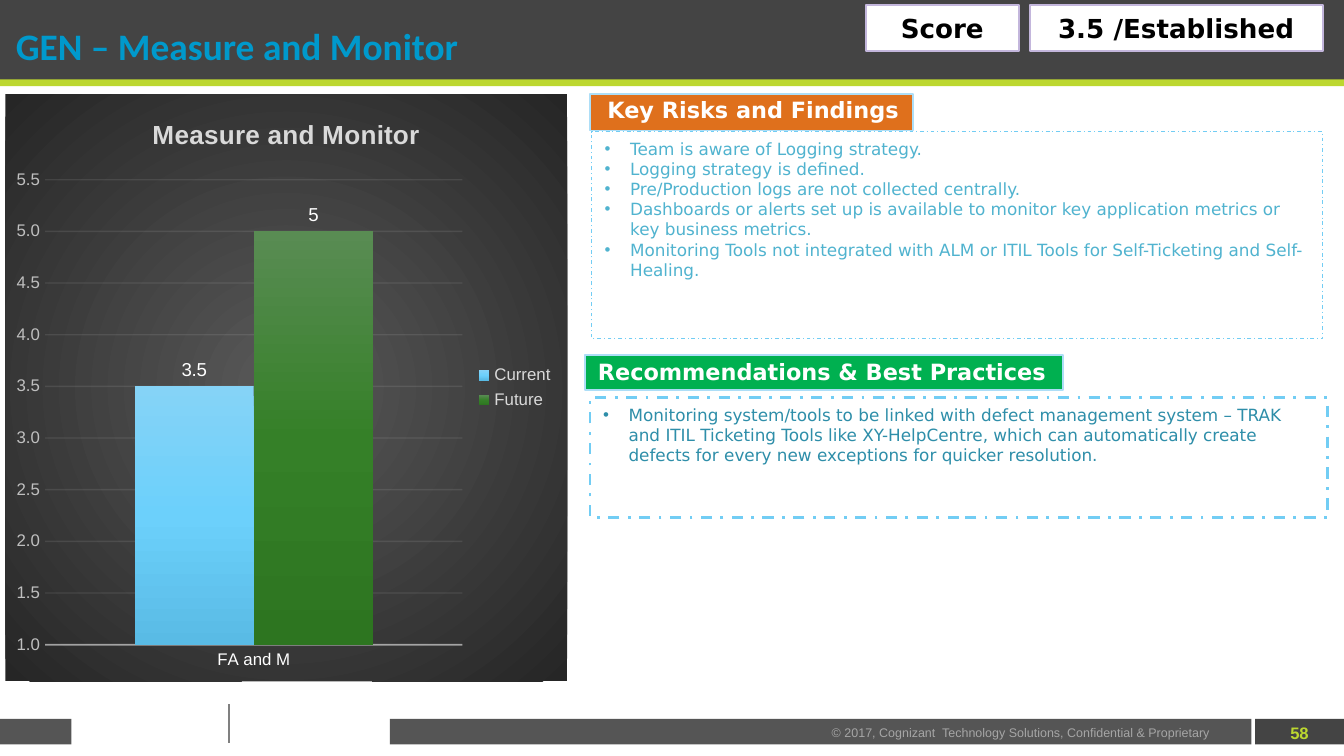
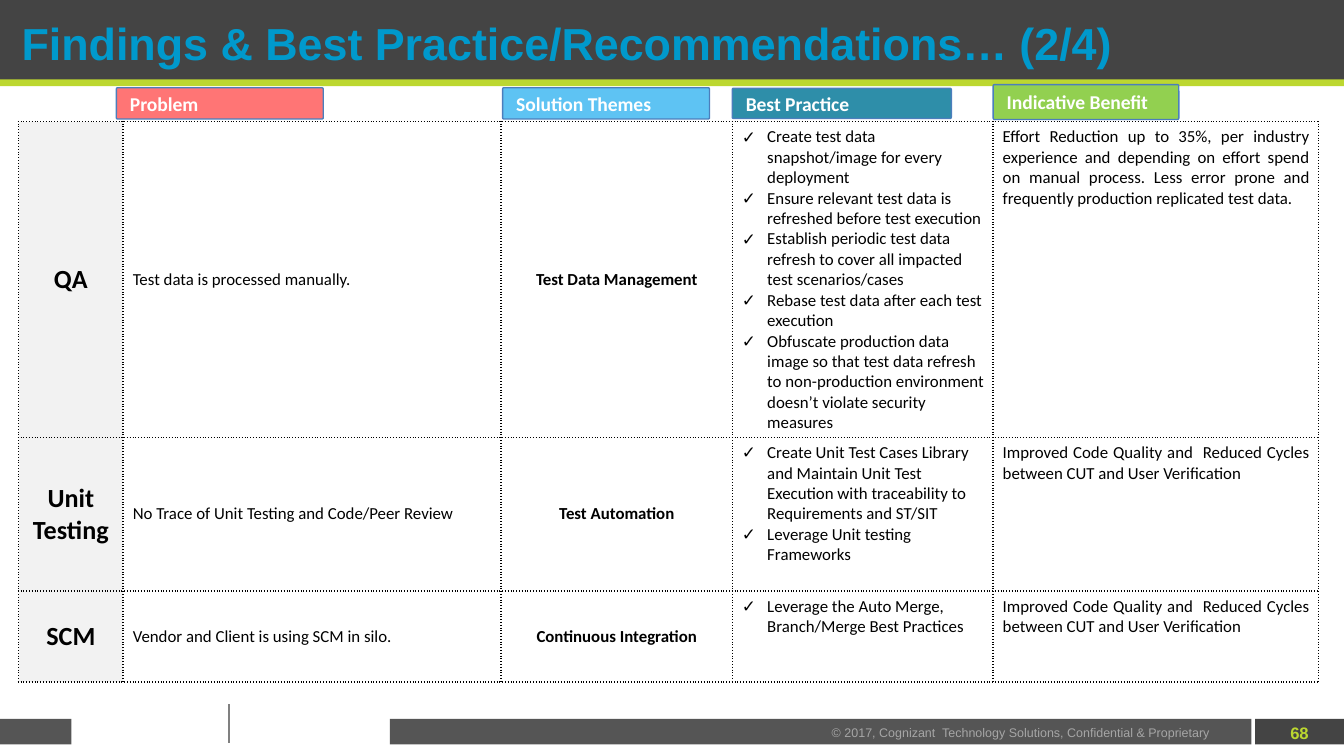
from lxml.etree import SubElement as Sub, fromstring
from pptx import Presentation
from pptx.chart.data import CategoryChartData as Data
from pptx.dml.color import RGBColor as RGB
from pptx.enum.chart import XL_CHART_TYPE as Kind, XL_LABEL_POSITION as Spot
from pptx.enum.chart import XL_LEGEND_POSITION as Side, XL_TICK_MARK as Tick
from pptx.enum.dml import MSO_LINE as Dash
from pptx.enum.shapes import MSO_CONNECTOR as Link, MSO_SHAPE as Form
from pptx.enum.text import MSO_ANCHOR as Anchor, PP_ALIGN as Align
from pptx.oxml.ns import nsdecls, qn
from pptx.util import Cm, Pt

WHITE, BLACK = RGB(255, 255, 255), RGB(0, 0, 0)
DARK, GREY, MID = RGB(0x44, 0x44, 0x44), RGB(0x55, 0x55, 0x55), RGB(0x80, 0x80, 0x80)
SILVER, ASH, PALE = RGB(0xA6, 0xA6, 0xA6), RGB(0xBF, 0xBF, 0xBF), RGB(0xD9, 0xD9, 0xD9)
MIST = RGB(0xF2, 0xF2, 0xF2)
LIME, BLUE = RGB(0xBC, 0xD7, 0x30), RGB(0, 0x99, 0xCC)
SKY, ICE, LILAC = RGB(0x72, 0xCD, 0xF4), RGB(0xAD, 0xDE, 0xF7), RGB(0xC3, 0xB6, 0xDC)
AQUA, TEAL, EDGE = RGB(0x50, 0xB3, 0xCF), RGB(0x2E, 0x8E, 0xA9), RGB(0x4B, 0x7E, 0xBC)
ORANGE, GREEN = RGB(0xDF, 0x70, 0x1C), RGB(0, 0xB0, 0x50)
CORAL, AZURE, LEAF = RGB(0xFF, 0x75, 0x75), RGB(0x5E, 0xC3, 0xF3), RGB(0x92, 0xD0, 0x50)

SANS, BODY, WIDE = "Arial", "Calibri", "DejaVu Sans"
MARKS = "© 2017, Cognizant  Technology Solutions, Confidential & Proprietary"


def font(name, size, color, bold=False):
    return {"name": name, "size": Pt(size), "color": color, "bold": bold}


HEAD = font(WIDE, 12, WHITE, True)
SCORE = font(WIDE, 14, BLACK, True)
TAB = font(BODY, 10.5, WHITE, True)
CELL = font(BODY, 9, BLACK)
THEME = font(BODY, 9, BLACK, True)
AREA = font(BODY, 14, BLACK, True)


def dress(target, style):
    for key, val in style.items():
        if key == "color":
            target.color.rgb = val
        else:
            setattr(target, key, val)


def blend(stops, shape):
    """Build a gradient fill from (percent, hex) stops."""
    marks = "".join(f'<a:gs pos="{pos * 1000}"><a:srgbClr val="{tint}"/></a:gs>'
                    for pos, tint in stops)
    return fromstring(f'<a:gradFill {nsdecls("a")} rotWithShape="1">'
                      f'<a:gsLst>{marks}</a:gsLst>{shape}</a:gradFill>')


def fade(line, color, width, alpha):
    line.color.rgb, line.width = color, Pt(width)
    tint = line.fill._xPr.find(".//" + qn("a:srgbClr"))
    Sub(tint, qn("a:alpha"), val=str(alpha * 1000))


class Deck:
    def __init__(self):
        self.show = Presentation()
        self.show.slide_width, self.show.slide_height = Cm(25.4), Cm(14.29)
        self.slide = None

    def words(self, frame, lines, style, align=Align.LEFT, bullet=None):
        lines = [lines] if isinstance(lines, str) else lines
        for num, line in enumerate(lines):
            para = frame.paragraphs[0] if num == 0 else frame.add_paragraph()
            para.alignment = align
            if bullet:
                prop = para._p.get_or_add_pPr()
                prop.set("marL", str(Cm(0.48)))
                prop.set("indent", str(Cm(-0.48)))
                Sub(prop, qn("a:buFont"), typeface=SANS)
                Sub(prop, qn("a:buChar"), char=bullet)
            run = para.add_run()
            run.text = line
            dress(run.font, style)

    def text(self, at, lines, style, align=Align.LEFT, anchor=Anchor.MIDDLE,
             wrap=True, pad=None):
        frame = self.slide.shapes.add_textbox(*map(Cm, at)).text_frame
        frame.word_wrap, frame.vertical_anchor = wrap, anchor
        if pad:
            frame.margin_left = frame.margin_right = Cm(pad[0])
            frame.margin_top = frame.margin_bottom = Cm(pad[1])
        self.words(frame, lines, style, align)

    def box(self, at, fill=None, line=None, width=1, dash=None, form=Form.RECTANGLE,
            lines=(), style=None, anchor=Anchor.MIDDLE, **look):
        shape = self.slide.shapes.add_shape(form, *map(Cm, at))
        shape.shadow.inherit = False
        if fill is None:
            shape.fill.background()
        else:
            shape.fill.solid()
            shape.fill.fore_color.rgb = fill
        if line is None:
            shape.line.fill.background()
        else:
            dress(shape.line, {"color": line, "width": Pt(width)})
            if dash:
                shape.line.dash_style = dash
        if form == Form.ROUNDED_RECTANGLE:
            shape.adjustments[0] = 0.04
        shape.text_frame.vertical_anchor = anchor
        self.words(shape.text_frame, lines, style, **look)

    def rule(self, x, top, foot):
        line = self.slide.shapes.add_connector(Link.STRAIGHT, *map(Cm, (x, top, x, foot)))
        dress(line.line, {"color": MID, "width": Pt(1)})
        Sub(line._element.spPr, qn("a:effectLst"))

    def start(self, number):
        """Add a slide with its bands and footer."""
        self.slide = self.show.slides.add_slide(self.show.slide_layouts[6])
        for at, fill in (((23.72, 13.59, 1.7, 0.48), DARK), ((7.37, 13.59, 16.28, 0.48), GREY),
                         ((0, 13.59, 1.35, 0.48), GREY), ((0, 0, 25.43, 1.52), DARK),
                         ((0, 1.5, 25.43, 0.13), LIME)):
            self.box(at, fill)
        self.text((24, 13.56, 1.12, 0.58), number, font(SANS, 8.9, LIME, True),
                  Align.CENTER, wrap=False)
        self.text((15.47, 13.61, 7.77, 0.46), MARKS, font(SANS, 6.7, SILVER))
        self.rule(4.32, 13.31, 14.05)

    def chart(self, at, title, cats, series):
        data = Data()
        data.categories = cats
        for name, vals, _, _ in series:
            data.add_series(name, vals)
        chart = self.slide.shapes.add_chart(Kind.COLUMN_CLUSTERED, *map(Cm, at), data).chart
        dress(chart.font, font(SANS, 10, BLACK))
        chart.has_title = True
        self.words(chart.chart_title.text_frame, title, font(SANS, 14, PALE, True), Align.CENTER)
        chart.chart_title.include_in_layout = False
        chart.has_legend = True
        chart.legend.position, chart.legend.include_in_layout = Side.RIGHT, False
        dress(chart.legend.font, font(SANS, 9, PALE))

        # Axes
        base, scale = chart.category_axis, chart.value_axis
        for axis, tint in ((base, WHITE), (scale, ASH)):
            axis.major_tick_mark = axis.minor_tick_mark = Tick.NONE
            dress(axis.tick_labels.font, font(SANS, 9, tint))
        fade(base.format.line, MIST, 1, 54)
        scale.format.line.fill.background()
        fade(scale.major_gridlines.format.line, MIST, 0.75, 10)
        dress(scale, {"minimum_scale": 1, "maximum_scale": 5.5, "major_unit": 0.5})
        dress(scale.tick_labels, {"number_format": "0.0", "number_format_is_linked": False})

        # Columns and labels
        plot = chart.plots[0]
        plot.gap_width, plot.overlap, plot.vary_by_categories = 150, 0, False
        for bar, (_, _, stops, form) in zip(plot.series, series):
            bar._element.get_or_add_spPr().append(
                blend(stops, '<a:lin ang="5400000" scaled="0"/>'))
            tags = bar.data_labels
            dress(tags, {"show_value": True, "position": Spot.OUTSIDE_END,
                         "number_format": form, "number_format_is_linked": False})
            dress(tags.font, font(SANS, 10, WHITE))

        # Backdrop
        back = fromstring(f'<c:spPr {nsdecls("c", "a")}><a:ln><a:noFill/></a:ln></c:spPr>')
        back.insert(0, blend([(0, "595959"), (100, "262626")],
                             '<a:path path="circle"><a:fillToRect l="50000" t="50000" '
                             'r="50000" b="50000"/></a:path>'))
        chart._chartSpace.find(qn("c:chart")).addnext(back)

    def table(self, at, cols, rows, cells, looks):
        size = (sum(cols), sum(rows))
        table = self.slide.shapes.add_table(len(rows), len(cols), *map(Cm, at + size)).table
        for col, width in zip(table.columns, cols):
            col.width = Cm(width)
        for row, high, texts in zip(table.rows, rows, cells):
            row.height = Cm(high)
            for cell, lines, (fill, anchor, look) in zip(row.cells, texts, looks):
                dress(cell, {"margin_left": Cm(0.18), "margin_right": Cm(0.18),
                             "margin_top": Cm(0.1), "margin_bottom": Cm(0.1),
                             "vertical_anchor": anchor})
                self.edge(cell)
                if fill is None:
                    cell.fill.background()
                else:
                    cell.fill.solid()
                    cell.fill.fore_color.rgb = fill
                self.words(cell.text_frame, lines, **look)

    def edge(self, cell):
        prop = cell._tc.get_or_add_tcPr()
        for side in "LRTB":
            line = Sub(prop, qn("a:ln" + side), w=str(Pt(1)))
            Sub(Sub(line, qn("a:solidFill")), qn("a:srgbClr"), val=str(BLACK))
            Sub(line, qn("a:prstDash"), val="dot")


def measure(deck):
    deck.start("58")
    deck.text((0.3, 0.23, 23.52, 1.27), "GEN – Measure and Monitor",
              font(BODY, 20, BLUE, True), pad=(0, 0.18))

    # Score
    for left, width, word in ((19.46, 5.54, "3.5 /Established"), (16.36, 2.9, "Score")):
        deck.box((left, 0.1, width, 0.86), WHITE, LILAC, lines=word, style=SCORE,
                 align=Align.CENTER)

    # Findings
    deck.box((11.18, 2.49, 13.82, 3.91), None, SKY, 0.5, Dash.DASH_DOT, lines=[
        "Team is aware of Logging strategy.",
        "Logging strategy is defined.",
        "Pre/Production logs are not collected centrally.",
        "Dashboards or alerts set up is available to monitor key application metrics or "
        "key business metrics.",
        "Monitoring Tools not integrated with ALM or ITIL Tools for Self-Ticketing and "
        "Self-Healing."],
        style=font(WIDE, 9, AQUA), anchor=Anchor.TOP, bullet="•")
    deck.box((11.15, 1.78, 6.1, 0.69), ORANGE, ICE)
    deck.text((11.23, 1.7, 6.02, 0.76), "Key Risks and Findings", HEAD,
              anchor=Anchor.TOP, wrap=False)

    deck.chart((0.1, 1.78, 10.62, 11.1), "Measure and Monitor", ["FA and M"], [
        ("Current", [3.5], [(0, "85D3F7"), (50, "6CD0FB"), (100, "59BBE5")], "0.0"),
        ("Future", [5], [(0, "598C53"), (50, "358028"), (100, "2D7520")], "General")])
    deck.box((4.57, 12.88, 2.46, 1.14), WHITE)

    # Recommendations
    deck.box((11.05, 6.71, 9.04, 0.66), GREEN, ICE)
    deck.box((11.15, 7.52, 13.94, 2.26), WHITE, SKY, 1.5, Dash.DASH_DOT, lines=[
        "Monitoring system/tools to be linked with defect management system – TRAK and "
        "ITIL Ticketing Tools like XY-HelpCentre, which can automatically create defects "
        "for every new exceptions for quicker resolution."],
        style=font(WIDE, 9, TEAL), anchor=Anchor.TOP, bullet="•")
    deck.text((11.05, 6.65, 9.04, 0.76), "Recommendations & Best Practices", HEAD,
              anchor=Anchor.TOP)


def findings(deck):
    deck.start("68")

    # Column tabs
    for at, fill, word in (((9.5, 1.66, 3.91, 0.59), AZURE, "Solution Themes"),
                           ((18.77, 1.6, 3.51, 0.66), LEAF, "Indicative Benefit"),
                           ((13.84, 1.67, 4.14, 0.57), TEAL, "Best Practice"),
                           ((2.2, 1.66, 3.91, 0.59), CORAL, "Problem")):
        deck.box(at, fill, EDGE, 0.75, form=Form.ROUNDED_RECTANGLE, lines=word, style=TAB)

    # Findings by area
    gain = "Improved Code Quality and  Reduced Cycles between CUT and User Verification"
    cells = [
        ("QA", "Test data is processed manually.", "Test Data Management",
         ["Create test data snapshot/image for every deployment",
          "Ensure relevant test data is refreshed before test execution",
          "Establish periodic test data refresh to cover all impacted test scenarios/cases",
          "Rebase test data after each test execution",
          "Obfuscate production data image so that test data refresh to non-production "
          "environment doesn’t violate security measures"],
         "Effort Reduction up to 35%, per industry experience and depending on effort spend "
         "on manual process. Less error prone and frequently production replicated test data."),
        ("Unit Testing", "No Trace of Unit Testing and Code/Peer Review", "Test Automation",
         ["Create Unit Test Cases Library and Maintain Unit Test Execution with traceability "
          "to Requirements and ST/SIT",
          "Leverage Unit testing Frameworks"], gain),
        ("SCM", "Vendor and Client is using SCM in silo.", "Continuous Integration",
         ["Leverage the Auto Merge, Branch/Merge Best Practices"], gain)]
    looks = [(MIST, Anchor.MIDDLE, {"style": AREA, "align": Align.CENTER}),
             (None, Anchor.MIDDLE, {"style": CELL}),
             (None, Anchor.MIDDLE, {"style": THEME, "align": Align.CENTER}),
             (None, Anchor.TOP, {"style": CELL, "bullet": "✓"}),
             (None, Anchor.TOP, {"style": CELL, "align": Align.JUSTIFY})]
    deck.table((0.35, 2.3), (1.98, 7.14, 4.37, 4.93, 6.15), (5.97, 2.9, 1.72), cells, looks)

    deck.text((0.41, 0.3, 24.28, 0.91), "Findings & Best Practice/Recommendations… (2/4)",
              font(SANS, 24, BLUE, True), anchor=Anchor.TOP, pad=(0, 0))


def main():
    deck = Deck()
    measure(deck)
    findings(deck)
    deck.show.save("out.pptx")


if __name__ == "__main__":
    main()
